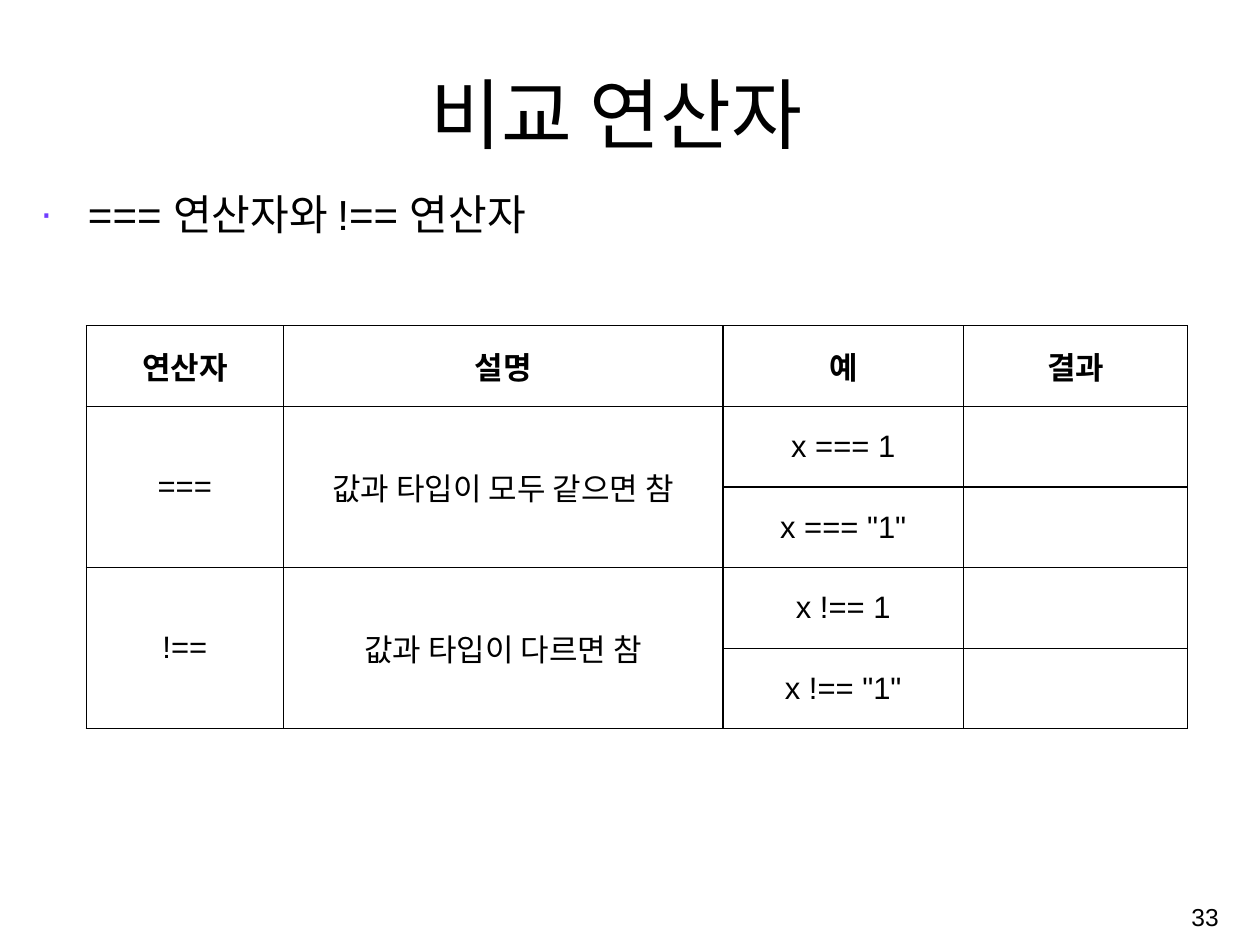
from lxml.etree import SubElement
from pptx import Presentation
from pptx.dml.color import RGBColor
from pptx.enum.text import MSO_ANCHOR, PP_ALIGN
from pptx.oxml.ns import qn
from pptx.util import Cm, Pt

BLACK = RGBColor(0x00, 0x00, 0x00)
VIOLET = RGBColor(0x70, 0x3D, 0xFF)

HEADINGS = ["연산자", "설명", "예", "결과"]
OPERATORS = [
    ("===", "값과 타입이 모두 같으면 참", ["x === 1", 'x === "1"']),
    ("!==", "값과 타입이 다르면 참", ["x !== 1", 'x !== "1"']),
]
COLUMN_WIDTHS = [5.16, 11.51, 6.3, 5.87]
ROW_HEIGHT = 2.11


def write_text(frame, text, size, align=PP_ALIGN.LEFT, anchor=MSO_ANCHOR.TOP, bold=False):
    """Write one formatted paragraph into a text frame and return it."""
    frame.word_wrap = True
    frame.vertical_anchor = anchor
    paragraph = frame.paragraphs[0]
    paragraph.alignment = align
    paragraph.space_before = Pt(0)
    run = paragraph.add_run()
    run.text = text
    run.font.name = "Arial"
    run.font.size = Pt(size)
    run.font.bold = bold
    run.font.color.rgb = BLACK
    return paragraph


class OperatorSlide:
    """Hold the style and the current slide, and add its elements."""

    def __init__(self, presentation):
        self.slide = presentation.slides.add_slide(presentation.slide_layouts[1])
        self.cell_size = 23
        self.border_width = Pt(1)

    def place(self, shape, left, top, width, height):
        """Move and size a shape in centimetres."""
        shape.left, shape.top = Cm(left), Cm(top)
        shape.width, shape.height = Cm(width), Cm(height)

    def add_title(self, text):
        """Fill the title placeholder."""
        title = self.slide.shapes.title
        self.place(title, 2.67, 1.55, 26.95, 2.74)
        write_text(title.text_frame, text, 57.2, PP_ALIGN.CENTER, MSO_ANCHOR.BOTTOM)

    def add_bullet(self, text):
        """Fill the body placeholder with one bulleted line."""
        body = self.slide.placeholders[1]
        self.place(body, 0.81, 4.8, 31.29, 17.93)
        paragraph = write_text(body.text_frame, text, 31.2)
        properties = paragraph._p.get_or_add_pPr()
        properties.set("marL", str(Cm(1.24)))
        properties.set("indent", str(-Cm(1.24)))
        color = SubElement(properties, qn("a:buClr"))
        SubElement(color, qn("a:srgbClr"), val=str(VIOLET))
        SubElement(properties, qn("a:buFont"), typeface="Arial")
        SubElement(properties, qn("a:buChar"), char="∙")

    def add_borders(self, cell):
        """Draw all four borders of a cell and clear its fill."""
        properties = cell._tc.get_or_add_tcPr()
        for side in ("a:lnL", "a:lnR", "a:lnT", "a:lnB"):
            line = SubElement(properties, qn(side), w=str(self.border_width))
            fill = SubElement(line, qn("a:solidFill"))
            SubElement(fill, qn("a:srgbClr"), val=str(BLACK))
        cell.fill.background()

    def write_cell(self, cell, text, bold=False):
        """Write centred text into a table cell."""
        write_text(cell.text_frame, text, self.cell_size, PP_ALIGN.CENTER, bold=bold)

    def add_table(self):
        """Add the table of operators, two examples to each operator."""
        row_count = 1 + sum(len(examples) for _, _, examples in OPERATORS)
        frame = self.slide.shapes.add_table(
            row_count, len(HEADINGS), Cm(2.26), Cm(8.53),
            Cm(sum(COLUMN_WIDTHS)), Cm(ROW_HEIGHT * row_count))
        table = frame.table
        table.first_row = table.horz_banding = False
        for column, width in zip(table.columns, COLUMN_WIDTHS):
            column.width = Cm(width)
        for row in table.rows:
            row.height = Cm(ROW_HEIGHT)
        for cell in table.iter_cells():
            self.add_borders(cell)
            cell.vertical_anchor = MSO_ANCHOR.MIDDLE
            cell.margin_left = cell.margin_right = Cm(0.33)
            cell.margin_top = cell.margin_bottom = Cm(0.15)
        for column, heading in enumerate(HEADINGS):
            self.write_cell(table.cell(0, column), heading, bold=True)
        top = 1
        for operator, meaning, examples in OPERATORS:
            bottom = top + len(examples) - 1
            for column, text in enumerate((operator, meaning)):
                table.cell(top, column).merge(table.cell(bottom, column))
                self.write_cell(table.cell(top, column), text)
            for row, example in enumerate(examples, top):
                self.write_cell(table.cell(row, 2), example)
            top = bottom + 1

    def add_page_number(self, number):
        """Add the page number at the lower right."""
        box = self.slide.shapes.add_textbox(Cm(25.35), Cm(23.24), Cm(6.81), Cm(1.5))
        write_text(box.text_frame, number, 18.2, PP_ALIGN.RIGHT, MSO_ANCHOR.MIDDLE)


def main():
    """Build the slide and save it."""
    presentation = Presentation()
    presentation.slide_width, presentation.slide_height = Cm(32.99), Cm(24.74)
    slide = OperatorSlide(presentation)
    slide.add_title("비교 연산자")
    slide.add_bullet("=== 연산자와 !== 연산자")
    slide.add_table()
    slide.add_page_number("33")
    presentation.save("out.pptx")


if __name__ == "__main__":
    main()
